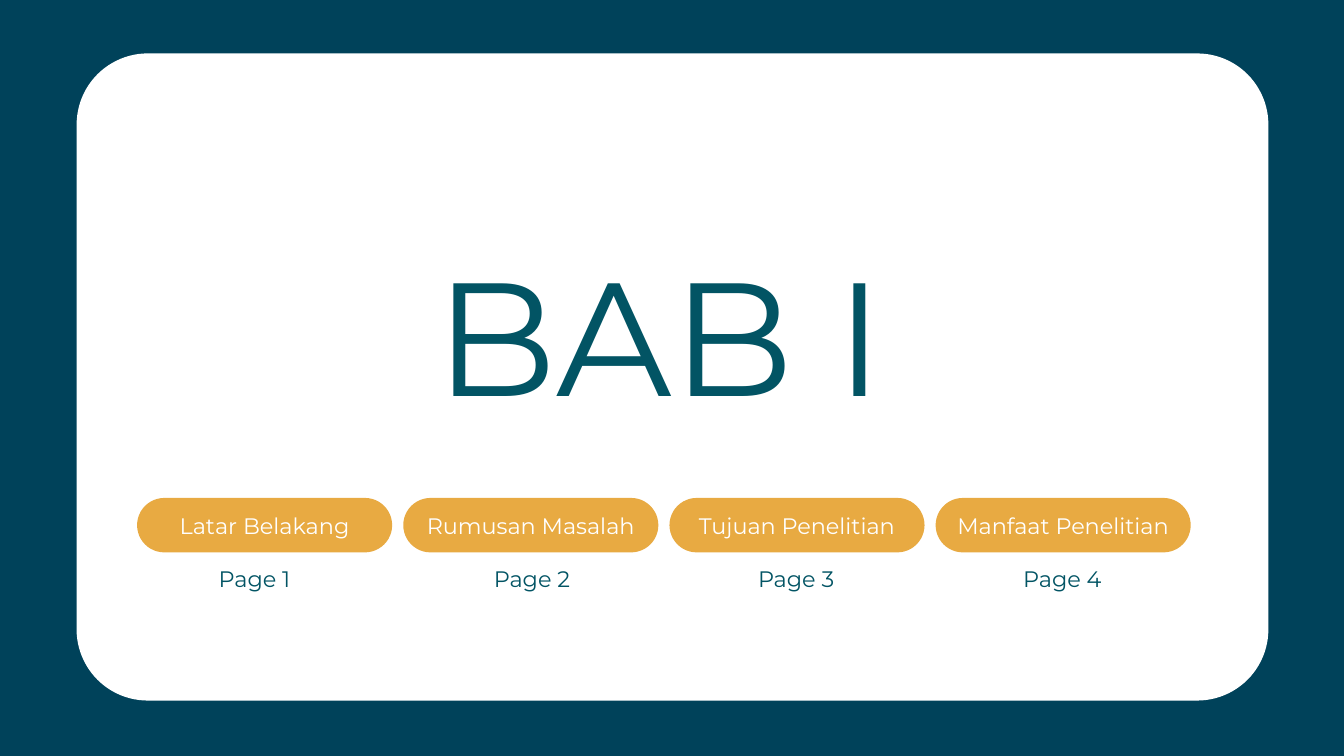
from pptx import Presentation
from pptx.dml.color import RGBColor
from pptx.enum.shapes import MSO_SHAPE as Shape
from pptx.enum.text import MSO_ANCHOR as Anchor, MSO_AUTO_SIZE as AutoSize, PP_ALIGN as Align
from pptx.util import Inches, Pt

NAVY, TEAL, AMBER, WHITE = "00425A", "025464", "E8AA42", "FFFFFF"

# Section title, then left edge and width of its page label
SECTIONS = [
    ("Latar Belakang", 2.07, 0.92),
    ("Rumusan Masalah", 4.8, 0.97),
    ("Tujuan Penelitian", 7.42, 0.97),
    ("Manfaat Penelitian", 10.05, 0.99),
]
PILL_LEFT, PILL_STEP = 1.36, 2.64


def rgb(value):
    return RGBColor.from_string(value)


class SlideBuilder:
    font_name = "Montserrat"

    def __init__(self, page):
        self.page = page

    def background(self, color):
        fill = self.page.background.fill
        fill.solid()
        fill.fore_color.rgb = rgb(color)

    def add_line_of_text(self, frame, text, size, color, align=Align.LEFT):
        para = frame.paragraphs[0]
        para.alignment = align
        span = para.add_run()
        span.text = text
        formats = {"name": self.font_name, "size": Pt(size)}
        for key, value in formats.items():
            setattr(span.font, key, value)
        span.font.color.rgb = rgb(color)

    def panel(self, left, top, width, height, color, rounding):
        """Add a borderless rounded rectangle."""
        shape = self.page.shapes.add_shape(
            Shape.ROUNDED_RECTANGLE, *map(Inches, (left, top, width, height)))
        shape.adjustments[0] = rounding
        shape.shadow.inherit = False
        shape.fill.solid()
        shape.fill.fore_color.rgb = rgb(color)
        shape.line.fill.background()
        return shape

    def pill(self, left, top, width, height, text):
        frame = self.panel(left, top, width, height, AMBER, 0.5).text_frame
        frame.vertical_anchor = Anchor.MIDDLE
        self.add_line_of_text(frame, text, 16, WHITE, Align.CENTER)

    def label(self, left, top, width, height, text, size, wrap=False):
        box = self.page.shapes.add_textbox(*map(Inches, (left, top, width, height)))
        formats = {"word_wrap": wrap, "auto_size": AutoSize.SHAPE_TO_FIT_TEXT}
        for key, value in formats.items():
            setattr(box.text_frame, key, value)
        self.add_line_of_text(box.text_frame, text, size, TEAL)


def main():
    deck = Presentation()
    deck.slide_width, deck.slide_height = Inches(13.33), Inches(7.5)
    builder = SlideBuilder(deck.slides.add_slide(deck.slide_layouts[6]))

    builder.background(NAVY)
    builder.panel(0.76, 0.53, 11.82, 6.42, WHITE, 0.11)
    builder.label(4.22, 2.29, 4.84, 2.04, "BAB I", 115, wrap=True)

    for index, (title, label_left, label_width) in enumerate(SECTIONS):
        builder.pill(PILL_LEFT + index * PILL_STEP, 4.94, 2.53, 0.54, title)
        builder.label(label_left, 5.56, label_width, 0.37, f"Page {index + 1}", 16)

    deck.save("out.pptx")


if __name__ == "__main__":
    main()
